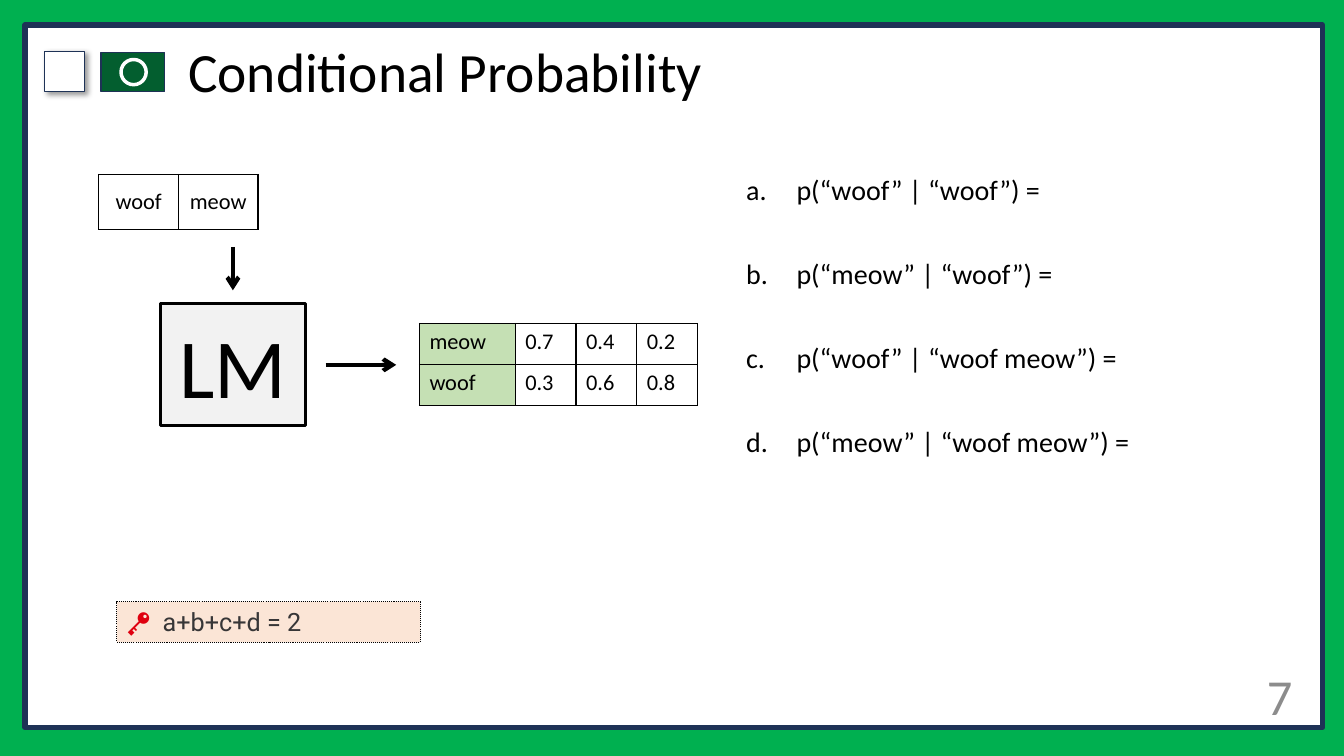
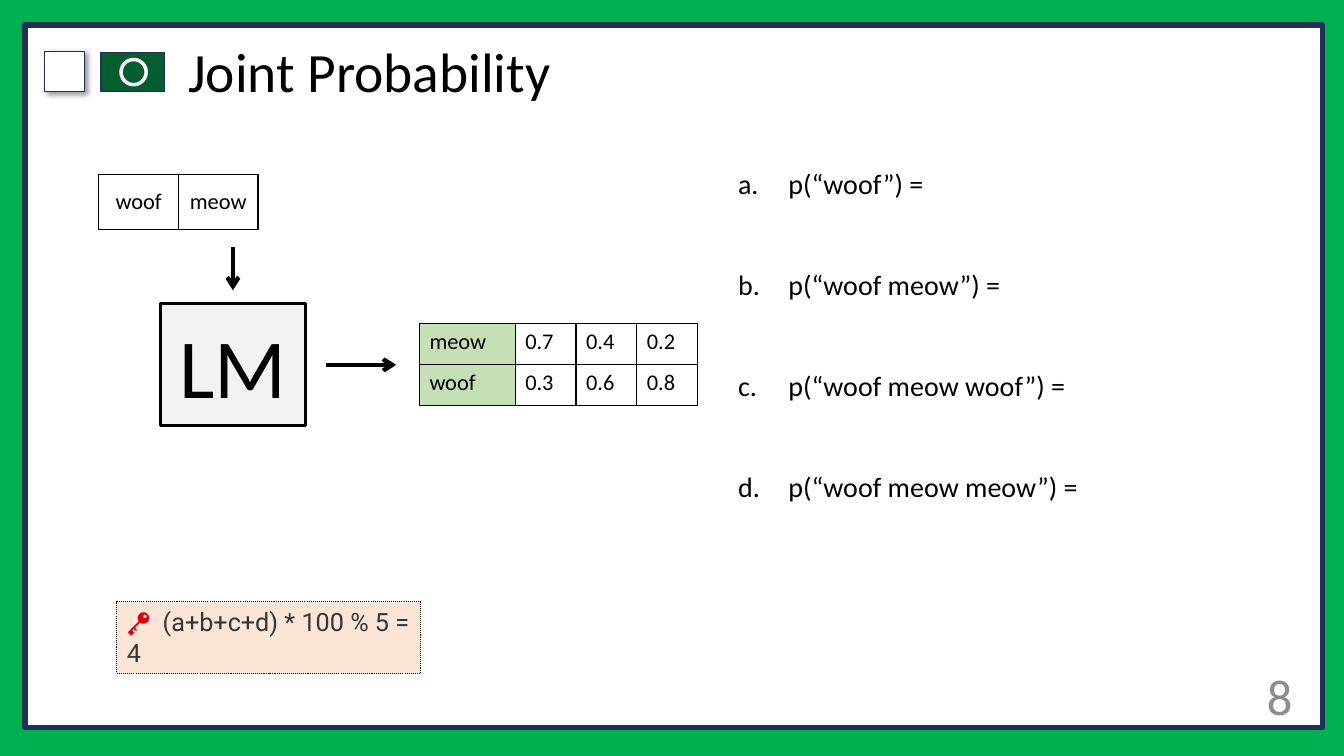
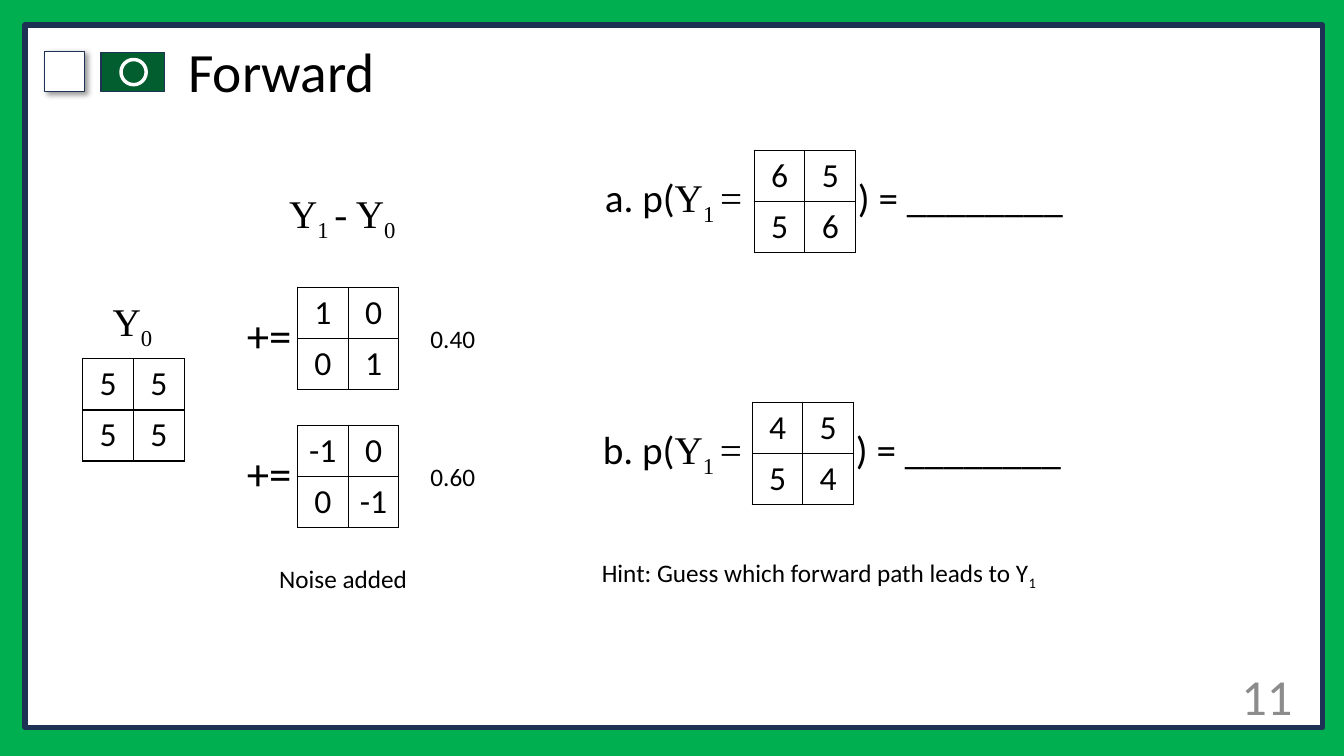
from lxml import etree
from pptx import Presentation
from pptx.dml.color import RGBColor
from pptx.enum.dml import MSO_LINE
from pptx.enum.shapes import MSO_CONNECTOR, MSO_SHAPE
from pptx.enum.text import MSO_ANCHOR, MSO_AUTO_SIZE, PP_ALIGN
from pptx.oxml import parse_xml
from pptx.oxml.ns import qn
from pptx.util import Inches, Pt

RECTANGLE, OVAL = MSO_SHAPE.RECTANGLE, MSO_SHAPE.OVAL
STRAIGHT, DOTTED = MSO_CONNECTOR.STRAIGHT, MSO_LINE.ROUND_DOT
LEFT, CENTER, RIGHT = PP_ALIGN.LEFT, PP_ALIGN.CENTER, PP_ALIGN.RIGHT
TOP, MIDDLE = MSO_ANCHOR.TOP, MSO_ANCHOR.MIDDLE
NO_RESIZE = MSO_AUTO_SIZE.NONE

# Square grid: 40 columns by 22.5 rows
SLIDE_WIDTH, SLIDE_HEIGHT = Inches(13.33), Inches(7.5)
CELL = SLIDE_HEIGHT / 22.5

BLACK, WHITE = "000000", "FFFFFF"
GREEN, NAVY, DARK_GREEN = "00B050", "1E3256", "035E2F"
LIGHT_GREEN, PEACH = "C5E0B4", "FBE5D6"
GRAY, INK, RED = "8C8C8C", "373637", "DF000F"
SANS, SERIF, KEY_FONT = "Calibri", "Times New Roman", "Roboto"

DRAWING = 'xmlns:a="http://schemas.openxmlformats.org/drawingml/2006/main"'
SHADOW = (f'<a:effectLst {DRAWING}><a:outerShdw blurRad="50800" dist="38100" '
          'dir="2700000" algn="tl" rotWithShape="0"><a:srgbClr val="000000">'
          '<a:alpha val="40000"/></a:srgbClr></a:outerShdw></a:effectLst>')


def grid(*lengths):
    return [int(length * CELL) for length in lengths]


def color(value):
    return RGBColor.from_string(value)


# Text
def style_run(run, size, font=SANS, ink=BLACK, subscript=False):
    run.font.size, run.font.name = Pt(size), font
    run.font.color.rgb = color(ink)
    if subscript:
        run.font._element.set("baseline", "-25000")


def write(text_frame, parts, size, align=LEFT, anchor=TOP, font=SANS, ink=BLACK):
    """Write one paragraph; parts is a string or a list of (text, style) pairs."""
    text_frame.word_wrap = True
    text_frame.auto_size = NO_RESIZE
    text_frame.vertical_anchor = anchor
    paragraph = text_frame.paragraphs[0]
    paragraph.alignment = align
    for text, style in [(parts, {})] if isinstance(parts, str) else parts:
        run = paragraph.add_run()
        run.text = text
        style_run(run, **{"size": size, "font": font, "ink": ink, **style})


def add_text(slide, box, parts, size, **style):
    write(slide.shapes.add_textbox(*grid(*box)).text_frame, parts, size, **style)


def variable(index):
    return [("Y", {"font": SERIF}), (index, {"font": SERIF, "subscript": True})]


def add_questions(slide, box, questions, spacing):
    body = slide.placeholders[1]
    body.left, body.top, body.width, body.height = grid(*box)
    text_frame = body.text_frame
    text_frame.text = "\n".join(questions)
    text_frame.auto_size = NO_RESIZE
    text_frame.vertical_anchor = MIDDLE
    for paragraph in text_frame.paragraphs:
        paragraph.line_spacing = spacing
        paragraph.space_before = Pt(0)
        style_run(paragraph.runs[0], 20)
        properties = paragraph._p.get_or_add_pPr()
        properties.set("marL", str(Inches(0.5)))
        properties.set("indent", str(-Inches(0.5)))
        etree.SubElement(properties, qn("a:buAutoNum"), type="alphaLcPeriod")


# Shapes, arrows and tables
def add_box(slide, preset, box, fill, line, line_width):
    shape = slide.shapes.add_shape(preset, *grid(*box))
    shape.shadow.inherit = False
    shape.fill.solid()
    shape.fill.fore_color.rgb = color(fill)
    shape.line.color.rgb = color(line)
    shape.line.width = Pt(line_width)
    return shape


def add_arrow(slide, *ends):
    arrow = slide.shapes.add_connector(STRAIGHT, *grid(*ends))
    arrow.line.color.rgb = color(BLACK)
    arrow.line.width = Pt(3)
    etree.SubElement(arrow.line._ln, qn("a:tailEnd"), type="arrow")
    etree.SubElement(arrow._element.spPr, qn("a:effectLst"))


def add_borders(cell):
    properties = cell._tc.get_or_add_tcPr()
    for position, side in enumerate("LRTB"):
        properties.insert(position, parse_xml(
            f'<a:ln{side} {DRAWING} w="12700"><a:solidFill><a:srgbClr val="{BLACK}"/>'
            f'</a:solidFill></a:ln{side}>'))


def add_grid_table(slide, left, top, rows, widths, row_height, size,
                   align=CENTER, anchor=MIDDLE, label_fill=None):
    box = grid(left, top, sum(widths), row_height * len(rows))
    table = slide.shapes.add_table(len(rows), len(widths), *box).table
    table.first_row = table.horz_banding = False
    for column, width in zip(table.columns, grid(*widths)):
        column.width = width
    for row_index, row in enumerate(rows):
        table.rows[row_index].height = grid(row_height)[0]
        for column_index, text in enumerate(row):
            cell = table.cell(row_index, column_index)
            write(cell.text_frame, text, size, align)
            cell.vertical_anchor = anchor
            if label_fill and column_index == 0:
                cell.fill.solid()
                cell.fill.fore_color.rgb = color(label_fill)
            else:
                cell.fill.background()
            add_borders(cell)


def add_matrix(slide, left, top, rows):
    add_grid_table(slide, left, top, rows, [1.51] * 2, 1.51, 24)


# Shared look
def decorate_master(master, slide):
    """Draw the frame and badges, then move them behind the master's placeholders."""
    master.background.fill.solid()
    master.background.fill.fore_color.rgb = color(GREEN)
    title = master.placeholders[0]
    title.left, title.top, title.width, title.height = grid(5.3, 1.2, 31.95, 2.04)
    frame = add_box(slide, RECTANGLE, (0.75, 0.75, 38.6, 20.9), WHITE, NAVY, 4)
    checkbox = add_box(slide, RECTANGLE, (1.32, 1.53, 1.2, 1.2), WHITE, NAVY, 1)
    properties = checkbox._element.spPr
    properties.replace(properties.find(qn("a:effectLst")), parse_xml(SHADOW))
    badge = add_box(slide, RECTANGLE, (3, 1.56, 1.9, 1.17), DARK_GREEN, NAVY, 1)
    ring = add_box(slide, OVAL, (3.6, 1.77, 0.75, 0.75), DARK_GREEN, WHITE, 2.5)
    for position, shape in enumerate([frame, checkbox, badge, ring]):
        shape._element.nvSpPr.cNvPr.set("id", str(100 + position))
        master.shapes.element.insert(2 + position, shape._element)


def add_slide(presentation, layout_index, title, number):
    slide = presentation.slides.add_slide(presentation.slide_layouts[layout_index])
    write(slide.shapes.title.text_frame, title, 39.6, anchor=MIDDLE)
    slide.shapes.title.text_frame.paragraphs[0].line_spacing = 0.9
    add_text(slide, (35, 19.4, 3.75, 2.58), number, 36,
             align=RIGHT, anchor=MIDDLE, ink=GRAY)
    return slide


# Slide content
def add_language_model(slide):
    model = add_box(slide, RECTANGLE, (4.77, 9.03, 4.32, 3.63), BLACK, BLACK, 2.43)
    fill_color = model._element.spPr.find(qn("a:solidFill"))[0]
    etree.SubElement(fill_color, qn("a:alpha"), val="5000")
    write(model.text_frame, "LM", 60, CENTER, MIDDLE)
    model.text_frame.word_wrap = False
    add_arrow(slide, 9.69, 10.86, 11.79, 10.86)
    add_arrow(slide, 6.93, 7.35, 6.93, 8.64)
    add_grid_table(slide, 12.48, 9.63,
                   [["meow", "0.7", "0.4", "0.2"], ["woof", "0.3", "0.6", "0.8"]],
                   [2.85] + [1.81] * 3, 1.22, 16, LEFT, TOP, LIGHT_GREEN)
    add_grid_table(slide, 2.94, 5.19, [["woof", "meow"]], [2.37] * 2, 1.65, 16)


def add_key(slide, height, answer):
    key = add_box(slide, RECTANGLE, (3.48, 17.91, 9.03, height), PEACH, BLACK, 0.75)
    key.line.dash_style = DOTTED
    write(key.text_frame, [("🔑  ", {"ink": RED}), (answer, {})], 18,
          font=KEY_FONT, ink=INK)


def add_noise(slide, top, rows, probability):
    add_text(slide, (7.05, top + 0.46, 2.2, 1.92), "+=", 32)
    add_matrix(slide, 8.85, top, rows)
    add_text(slide, (12.51, top + 0.92, 2.2, 1.2), probability, 18)


def add_blank(slide, letter, left, top, rows):
    add_text(slide, (left - 4.74, top + 0.55, 5.2, 1.71),
             [(f"{letter}. p(", {}), *variable("1 "), ("=", {"font": SERIF})], 28)
    add_matrix(slide, left, top, rows)
    add_text(slide, (left + 2.79, top + 0.55, 7.5, 1.71), ") = ________", 28)


def main():
    presentation = Presentation()
    presentation.slide_width, presentation.slide_height = SLIDE_WIDTH, SLIDE_HEIGHT

    # Conditional probability
    conditional = add_slide(presentation, 1, "Conditional Probability", "7")
    decorate_master(presentation.slide_master, conditional)
    add_language_model(conditional)
    add_questions(conditional, (21.9, 3.63, 16.83, 10),
                  ["p(“woof” | “woof”) =", "p(“meow” | “woof”) =",
                   "p(“woof” | “woof meow”) =", "p(“meow” | “woof meow”) ="], 2.5)
    add_key(conditional, 1.2, "a+b+c+d = 2")

    # Joint probability
    joint = add_slide(presentation, 1, "Joint Probability", "8")
    add_language_model(joint)
    add_questions(joint, (21.66, 3.03, 16.83, 11.88),
                  ["p(“woof”) =", "p(“woof meow”) =",
                   "p(“woof meow woof”) =", "p(“woof meow meow”) ="], 3)
    add_key(joint, 2.13, "(a+b+c+d) * 100 % 5 = 4")

    # Forward process
    forward = add_slide(presentation, 5, "Forward", "11")
    add_text(forward, (3.06, 8.7, 2.4, 1.71), variable("0"), 28)
    add_matrix(forward, 2.46, 10.68, [["5", "5"], ["5", "5"]])
    add_text(forward, (8.31, 5.49, 4.29, 1.71),
             [*variable("1 "), ("- ", {"font": SERIF}), *variable("0")], 28)
    add_noise(forward, 8.55, [["1", "0"], ["0", "1"]], "0.40")
    add_noise(forward, 12.66, [["-1", "0"], ["0", "-1"]], "0.60")
    add_text(forward, (8.01, 16.62, 5, 1.2), "Noise added", 18)
    add_blank(forward, "a", 22.44, 4.47, [["6", "5"], ["5", "6"]])
    add_blank(forward, "b", 22.38, 11.97, [["4", "5"], ["5", "4"]])
    add_text(forward, (17.61, 16.44, 14.5, 1.2),
             [("Hint: Guess which forward path leads to Y", {}),
              ("1", {"subscript": True})], 18)

    presentation.save("out.pptx")


if __name__ == "__main__":
    main()
